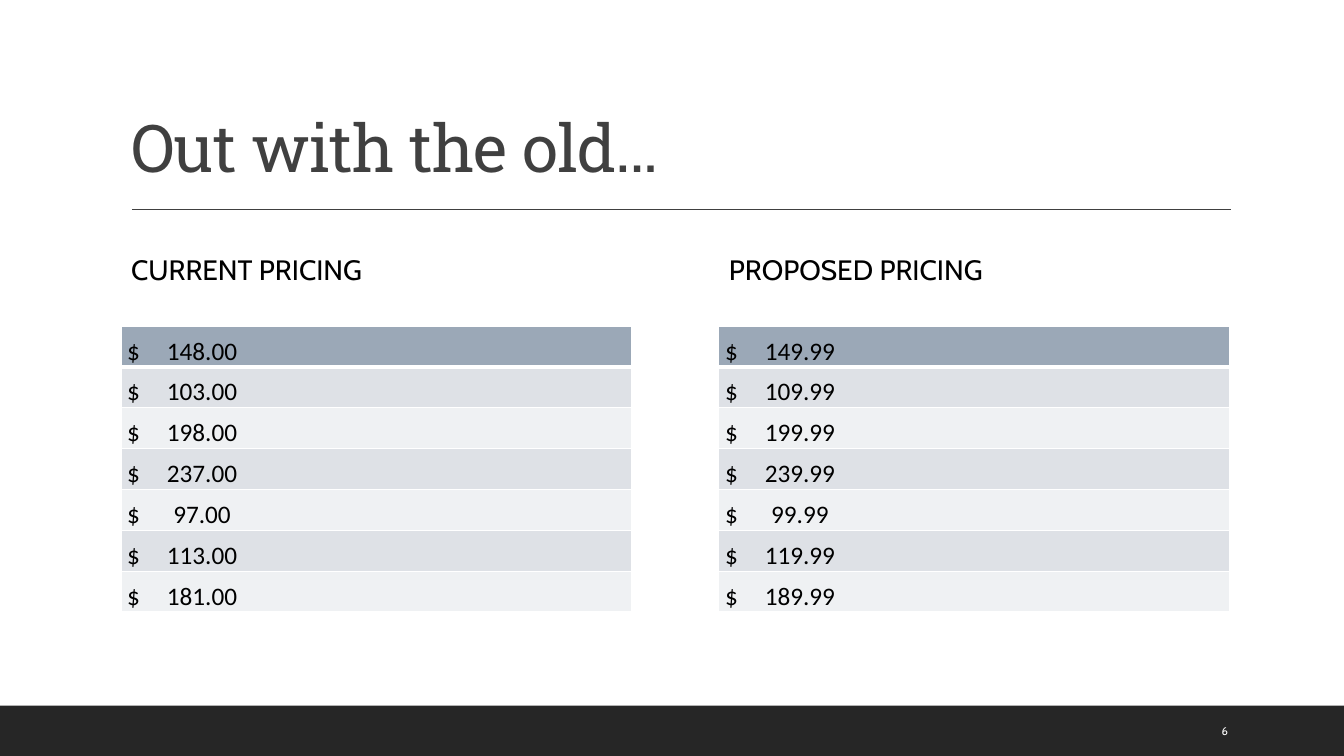
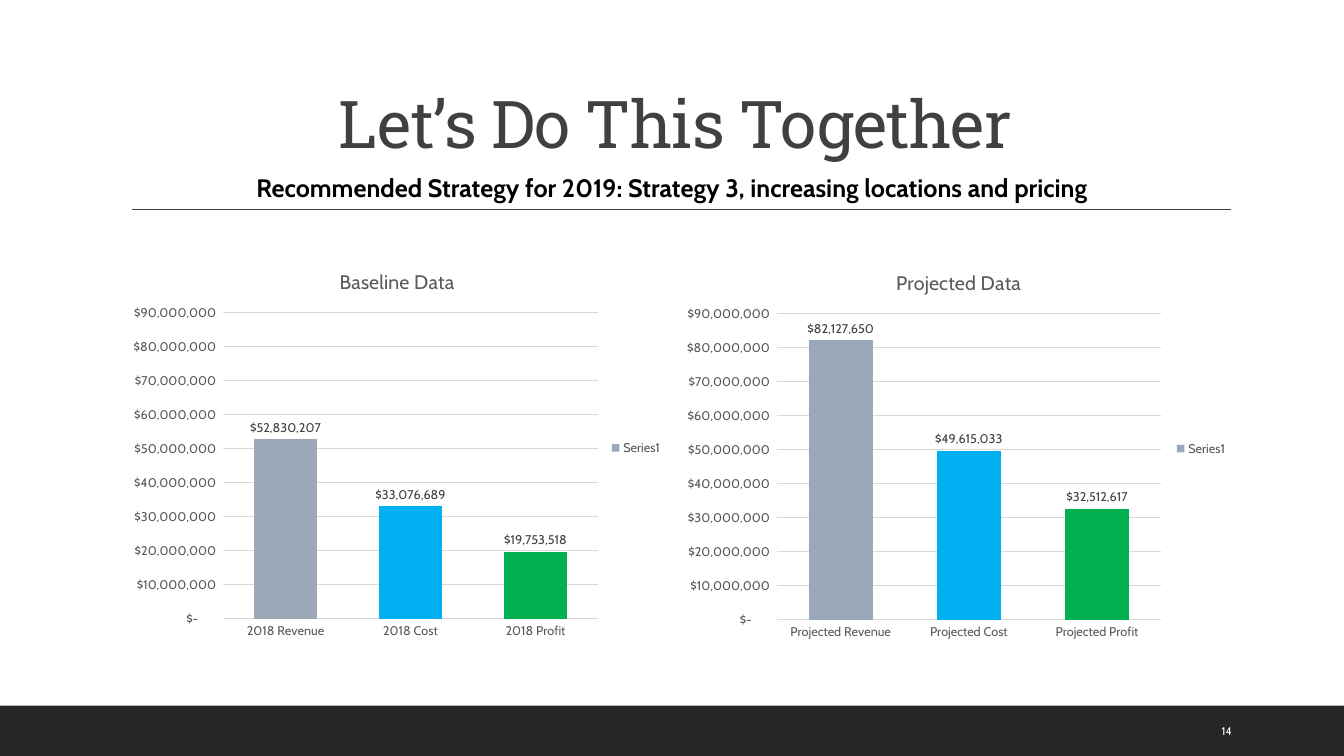
"""Build a pricing comparison slide and a strategy chart slide."""
from dataclasses import dataclass
from typing import Any, NamedTuple

from lxml.etree import SubElement
from pptx import Presentation
from pptx.chart.data import CategoryChartData
from pptx.dml.color import RGBColor as Color
from pptx.enum.chart import XL_CHART_TYPE as ChartType
from pptx.enum.chart import XL_LABEL_POSITION as LabelPosition
from pptx.enum.chart import XL_LEGEND_POSITION as LegendPosition
from pptx.enum.chart import XL_TICK_MARK as TickMark
from pptx.enum.shapes import MSO_CONNECTOR as Connector
from pptx.enum.shapes import MSO_SHAPE as Shape
from pptx.enum.text import MSO_ANCHOR as Anchor
from pptx.enum.text import MSO_AUTO_SIZE as AutoSize
from pptx.enum.text import PP_ALIGN as Align
from pptx.oxml.ns import qn
from pptx.util import Pt


@dataclass(frozen=True)
class Theme:
    heading: str = "Roboto Slab"
    body: str = "Cabin"
    figures: str = "Calibri"
    white: Color = Color.from_string("FFFFFF")
    black: Color = Color.from_string("000000")
    band: Color = Color.from_string("262626")
    dark: Color = Color.from_string("404040")
    muted: Color = Color.from_string("595959")
    grid: Color = Color.from_string("D9D9D9")
    slate: Color = Color.from_string("9BA8B7")
    blue: Color = Color.from_string("00B0F0")
    green: Color = Color.from_string("00B050")
    stripes: tuple[Color, Color] = (Color.from_string("DEE1E6"), Color.from_string("EFF1F3"))
    title_size: float = 47
    column_size: float = 20
    text_size: float = 18
    chart_title_size: float = 14
    chart_size: float = 10
    label_size: float = 9
    number_size: float = 8


class Frame(NamedTuple):
    left: float
    top: float
    width: float
    height: float

    def lengths(self) -> list[Pt]:
        return [Pt(value) for value in self]


class PriceList(NamedTuple):
    heading: str
    left: float
    placeholder: int
    prices: list[str]


class BarPanel(NamedTuple):
    title: str
    frame: Frame
    categories: list[str]
    values: list[int]


THEME = Theme()
PAGE_WIDTH, PAGE_HEIGHT, BAND_HEIGHT = 960, 540, 36
MARGIN, CONTENT_WIDTH = 86.4, 792
RULE_LEFT, RULE_RIGHT, RULE_TOP = 94.3, 879, 149.5
COLUMN_WIDTH, ROW_HEIGHT = 365, 29.2
DOLLARS = r'_("$"* #,##0_);_("$"* \(#,##0\);_("$"* "-"??_);_(@_)'

PRICE_LISTS = [
    PriceList("CURRENT PRICING", MARGIN, 1,
              ["148.00", "103.00", "198.00", "237.00", "97.00", "113.00", "181.00"]),
    PriceList("PROPOSED PRICING", MARGIN + CONTENT_WIDTH - COLUMN_WIDTH, 3,
              ["149.99", "109.99", "199.99", "239.99", "99.99", "119.99", "189.99"]),
]
BAR_PANELS = [
    BarPanel("Baseline Data", Frame(MARGIN, 178, 394, 284),
             ["2018 Revenue", "2018 Cost", "2018 Profit"],
             [52830207, 33076689, 19753518]),
    BarPanel("Projected Data", Frame(480, 178.5, 404, 284),
             ["Projected Revenue", "Projected Cost", "Projected Profit"],
             [82127650, 49615033, 32512617]),
]


def style_font(font: Any, name: str, size: float, color: Color, bold: bool = False) -> None:
    font.name, font.size, font.bold = name, Pt(size), bold
    font.color.rgb = color


def move(shape: Any, frame: Frame) -> None:
    shape.left, shape.top, shape.width, shape.height = frame.lengths()


def add_label(page: Any, frame: Frame, text: str, size: float, color: Color) -> Any:
    box = page.shapes.add_textbox(*frame.lengths())
    box.text_frame.text = text
    box.text_frame.word_wrap = False
    style_font(box.text_frame.paragraphs[0].font, THEME.body, size, color)
    return box


def dress_master(deck: Any, page: Any) -> None:
    band = page.shapes.add_shape(
        Shape.RECTANGLE, *Frame(0, PAGE_HEIGHT - BAND_HEIGHT, PAGE_WIDTH, BAND_HEIGHT).lengths())
    band.shadow.inherit = False
    band.fill.solid()
    band.fill.fore_color.rgb = THEME.band
    band.line.fill.background()
    rule = page.shapes.add_connector(
        Connector.STRAIGHT, Pt(RULE_LEFT), Pt(RULE_TOP), Pt(RULE_RIGHT), Pt(RULE_TOP))
    rule.line.color.rgb = THEME.dark
    rule.line.width = Pt(1)
    SubElement(rule._element.spPr, qn("a:effectLst"))
    for number, shape in enumerate((band, rule), start=101):
        shape._element.xpath(".//p:cNvPr")[0].set("id", str(number))
        deck.slide_master.shapes._spTree.append(shape._element)


def set_title(page: Any, text: str, height: float, align: Align) -> None:
    title = page.shapes.title
    move(title, Frame(MARGIN, 22.3, CONTENT_WIDTH, height))
    title.text_frame.text = text
    title.text_frame.vertical_anchor = Anchor.BOTTOM
    title.text_frame.auto_size = AutoSize.NONE
    para = title.text_frame.paragraphs[0]
    para.alignment, para.line_spacing = align, 0.9
    style_font(para.font, THEME.heading, THEME.title_size, THEME.dark)
    para._p.pPr.find(qn("a:defRPr")).set("spc", "-50")


def add_page_number(page: Any, number: int) -> None:
    box = add_label(page, Frame(865.5, 507.6, 61, 28.8), str(number),
                    THEME.number_size, THEME.white)
    box.text_frame.vertical_anchor = Anchor.MIDDLE


def set_column_heading(page: Any, price_list: PriceList) -> None:
    box = page.placeholders[price_list.placeholder]
    move(box, Frame(price_list.left, 162, COLUMN_WIDTH, 58.3))
    box.text_frame.text = price_list.heading
    box.text_frame.vertical_anchor = Anchor.MIDDLE
    box.text_frame.auto_size = AutoSize.NONE
    para = box.text_frame.paragraphs[0]
    para.line_spacing, para.space_before, para.space_after = 1.1, Pt(12), Pt(2)
    style_font(para.font, THEME.body, THEME.column_size, THEME.black)


def set_borders(cell: Any, widths: dict[str, float]) -> None:
    properties = cell._tc.get_or_add_tcPr()
    for side, width in widths.items():
        line = SubElement(properties, qn(f"a:ln{side}"), w=str(Pt(width)))
        fill = SubElement(line, qn("a:solidFill"))
        SubElement(fill, qn("a:srgbClr"), val=str(THEME.white))


def add_price_table(page: Any, price_list: PriceList) -> None:
    rows = len(price_list.prices)
    frame = Frame(price_list.left, 232.8, COLUMN_WIDTH, ROW_HEIGHT * rows)
    table = page.shapes.add_table(rows, 1, *frame.lengths()).table
    table.first_row = table.horz_banding = False
    for index, price in enumerate(price_list.prices):
        table.rows[index].height = Pt(ROW_HEIGHT)
        cell = table.cell(index, 0)
        set_borders(cell, {"L": 1, "R": 1, "T": 3 if index == 1 else 1,
                           "B": 3 if index == 0 else 1})
        cell.fill.solid()
        cell.fill.fore_color.rgb = THEME.stripes[(index - 1) % 2] if index else THEME.slate
        cell.vertical_anchor = Anchor.BOTTOM
        cell.margin_left, cell.margin_right = Pt(4.5), Pt(0.7)
        cell.margin_top, cell.margin_bottom = Pt(0.7), Pt(0)
        cell.text = f"$\t{price}"
        para = cell.text_frame.paragraphs[0]
        tabs = SubElement(para._p.get_or_add_pPr(), qn("a:tabLst"))
        SubElement(tabs, qn("a:tab"), pos=str(Pt(53.5)), algn="ctr")
        style_font(para.font, THEME.figures, THEME.text_size, THEME.black)


def set_layout(parent: Any, index: int, **fractions: float) -> None:
    for old in parent.findall(qn("c:layout")):
        parent.remove(old)
    layout = SubElement(parent, qn("c:layout"))
    manual = SubElement(layout, qn("c:manualLayout"))
    if "w" in fractions:
        SubElement(manual, qn("c:layoutTarget"), val="inner")
    for mode in ("xMode", "yMode"):
        SubElement(manual, qn(f"c:{mode}"), val="edge")
    for name, value in fractions.items():
        SubElement(manual, qn(f"c:{name}"), val=str(value))
    parent.insert(index, layout)


def style_line(line: Any) -> None:
    line.color.rgb = THEME.grid
    line.width = Pt(0.75)


def style_axes(chart: Any) -> None:
    for axis in (chart.category_axis, chart.value_axis):
        axis.major_tick_mark = axis.minor_tick_mark = TickMark.NONE
        style_font(axis.tick_labels.font, THEME.body, THEME.label_size, THEME.muted)
    style_line(chart.category_axis.format.line)
    values = chart.value_axis
    values.format.line.fill.background()
    style_line(values.major_gridlines.format.line)
    values.minimum_scale, values.maximum_scale, values.major_unit = 0, 90_000_000, 10_000_000
    values.tick_labels.number_format = DOLLARS
    values.tick_labels.number_format_is_linked = False


def style_bars(plot: Any) -> None:
    plot.gap_width, plot.overlap, plot.vary_by_categories = 100, -27, False
    series = plot.series[0]
    series.format.fill.solid()
    series.format.fill.fore_color.rgb = THEME.slate
    for index, color in enumerate((THEME.blue, THEME.green), start=1):
        fill = series.points[index].format.fill
        fill.solid()
        fill.fore_color.rgb = color
    labels = series.data_labels
    labels.show_value, labels.position = True, LabelPosition.OUTSIDE_END
    labels.number_format, labels.number_format_is_linked = DOLLARS, False
    style_font(labels.font, THEME.body, THEME.label_size, THEME.dark)


def add_bar_panel(page: Any, panel: BarPanel) -> None:
    data = CategoryChartData()
    data.categories = panel.categories
    data.add_series("Series1", panel.values)
    chart = page.shapes.add_chart(
        ChartType.COLUMN_CLUSTERED, *panel.frame.lengths(), data).chart
    style_font(chart.font, THEME.body, THEME.chart_size, THEME.black)
    chart.has_title = True
    heading = chart.chart_title
    heading.text_frame.text = panel.title
    style_font(heading.text_frame.paragraphs[0].font, THEME.body,
               THEME.chart_title_size, THEME.muted)
    set_layout(heading._element, 1, x=0.39, y=0.04)
    set_layout(chart.plots[0]._element.getparent(), 0, x=0.185, y=0.16, w=0.68, h=0.77)
    chart.has_legend = True
    chart.legend.position = LegendPosition.RIGHT
    chart.legend.include_in_layout = False
    style_font(chart.legend.font, THEME.body, THEME.label_size, THEME.muted)
    style_axes(chart)
    style_bars(chart.plots[0])


def build_pricing(page: Any) -> None:
    set_title(page, "Out with the old…", 114.5, Align.LEFT)
    for price_list in PRICE_LISTS:
        set_column_heading(page, price_list)
        add_price_table(page, price_list)
        empty = page.placeholders[price_list.placeholder + 1]._element
        empty.getparent().remove(empty)
    add_page_number(page, 6)


def build_strategy(page: Any) -> None:
    set_title(page, "Let’s Do This Together", 97.2, Align.CENTER)
    box = add_label(page, Frame(174, 119.5, 612, 29),
                    "Recommended Strategy for 2019: Strategy 3, increasing locations and pricing",
                    THEME.text_size, THEME.black)
    para = box.text_frame.paragraphs[0]
    para.alignment, para.font.bold = Align.CENTER, True
    for panel in BAR_PANELS:
        add_bar_panel(page, panel)
    add_page_number(page, 14)


def main() -> None:
    deck = Presentation()
    deck.slide_width, deck.slide_height = Pt(PAGE_WIDTH), Pt(PAGE_HEIGHT)
    comparison, title_only = deck.slide_layouts[4], deck.slide_layouts[5]
    pricing = deck.slides.add_slide(comparison)
    dress_master(deck, pricing)
    build_pricing(pricing)
    build_strategy(deck.slides.add_slide(title_only))
    deck.save("out.pptx")


if __name__ == "__main__":
    main()
